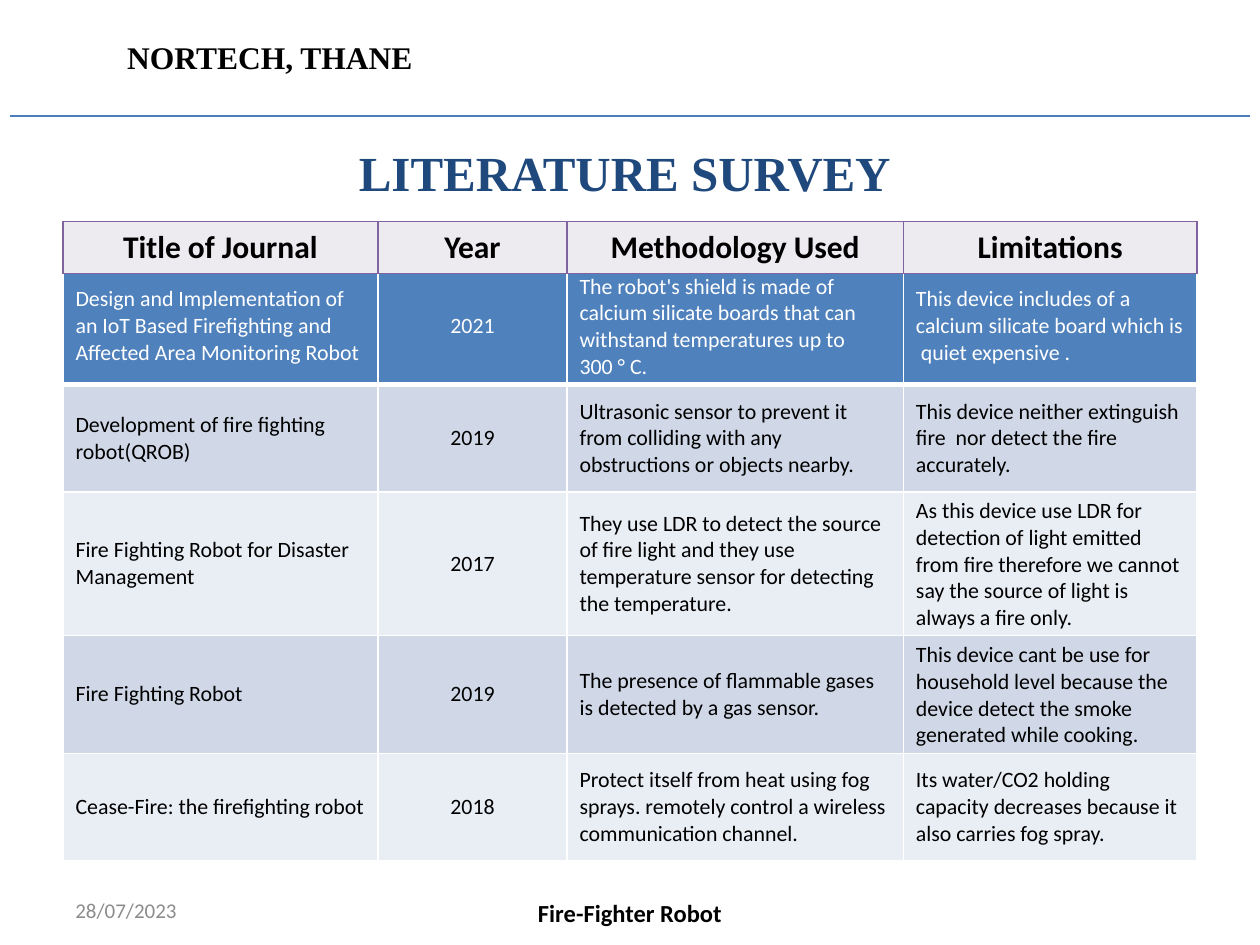
import pptx
import pptx.dml.color
import pptx.enum.shapes
import pptx.enum.text
import pptx.oxml
import pptx.oxml.ns
import pptx.util
from dataclasses import dataclass
from pptx.util import Inches


@dataclass(frozen=True)
class Theme:
    sans: str = "Calibri"
    serif: str = "Times New Roman"
    black: str = "000000"
    white: str = "FFFFFF"
    navy: str = "1F497D"
    grey: str = "8C8C8C"
    rule: str = "4B7EBC"
    header_fill: str = "EDEAF0"
    header_line: str = "8064A2"
    first_fill: str = "4F81BD"
    band_fills: tuple = ("D0D8E8", "E9EDF4")
    title: float = 28
    heading: float = 18
    footer: float = 14
    date: float = 12
    body: float = 12.5


theme = Theme()
RGB = pptx.dml.color.RGBColor.from_string
ALIGN = pptx.enum.text.PP_ALIGN
MIDDLE = pptx.enum.text.MSO_ANCHOR.MIDDLE


def write(frame, text, size, color, font=theme.sans, bold=False, align=ALIGN.LEFT):
    """Fill a text frame, one paragraph for each line of the text."""
    frame.word_wrap = True
    frame.text = text
    for paragraph in frame.paragraphs:
        paragraph.alignment = align
        run_font = paragraph.runs[0].font
        run_font.color.rgb = RGB(color)
        for key, value in {"name": font, "size": pptx.util.Pt(size), "bold": bold}.items():
            setattr(run_font, key, value)


def style_cell(cell, fill, line, top=1, bottom=1):
    """Set the four borders (widths in points), then the fill."""
    properties = cell._tc.get_or_add_tcPr()
    for side, width in {"L": 1, "R": 1, "T": top, "B": bottom}.items():
        properties.append(pptx.oxml.parse_xml(
            f'<a:ln{side} {pptx.oxml.ns.nsdecls("a")} w="{pptx.util.Pt(width)}">'
            f'<a:solidFill><a:srgbClr val="{line}"/></a:solidFill></a:ln{side}>'))
    cell.fill.solid()
    cell.fill.fore_color.rgb = RGB(fill)
    cell.vertical_anchor = MIDDLE


deck = pptx.Presentation()
deck.slide_width, deck.slide_height = Inches(10), Inches(7.5)
slide = deck.slides.add_slide(deck.slide_layouts[6])

# Heading, title and footer
captions = [
    ((0.17, 0.25, 5.33, 0.4), "NORTECH, THANE",
     dict(size=theme.heading, color=theme.black, font=theme.serif, bold=True),
     dict(margin_left=Inches(0.84))),
    ((2.21, 7.08, 5.58, 0.34), "Fire-Fighter Robot",
     dict(size=theme.footer, color=theme.black, bold=True, align=ALIGN.CENTER), {}),
    ((2.75, 1.08, 4.67, 0.57), "LITERATURE SURVEY",
     dict(size=theme.title, color=theme.navy, font=theme.serif, bold=True), {}),
    ((0.5, 7.02, 2.33, 0.4), "28/07/2023",
     dict(size=theme.date, color=theme.grey), dict(vertical_anchor=MIDDLE)),
]
for place, text, text_format, frame_format in captions:
    frame = slide.shapes.add_textbox(*map(Inches, place)).text_frame
    write(frame, text, **text_format)
    for key, value in frame_format.items():
        setattr(frame, key, value)

header_rule = slide.shapes.add_connector(
    pptx.enum.shapes.MSO_CONNECTOR.STRAIGHT,
    Inches(0.08), Inches(0.92), Inches(9.92), Inches(0.92))
header_rule.line.color.rgb = RGB(theme.rule)
header_rule.line.width = pptx.util.Pt(0.75)
header_rule._element.spPr.append(
    pptx.oxml.parse_xml(f'<a:effectLst {pptx.oxml.ns.nsdecls("a")}/>'))

# Survey: the papers first, then the column headings over them
column_widths = [2.5, 1.5, 2.67, 2.33]
headings = [("Title of Journal", "Year", "Methodology Used", "Limitations")]
papers = [
    ("Design and Implementation of an IoT Based Firefighting and Affected Area Monitoring Robot",
     "2021",
     "The robot's shield is made of calcium silicate boards that can withstand "
     "temperatures up to\n300 ° C.",
     "This device includes of a calcium silicate board which is  quiet expensive ."),
    ("Development of fire fighting robot(QROB)",
     "2019",
     "Ultrasonic sensor to prevent it from colliding with any\n"
     "obstructions or objects nearby.",
     "This device neither extinguish fire  nor detect the fire accurately."),
    ("Fire Fighting Robot for Disaster Management",
     "2017",
     "They use LDR to detect the source of fire light and they use temperature "
     "sensor for detecting the temperature.",
     "As this device use LDR for detection of light emitted from fire therefore "
     "we cannot say the source of light is always a fire only."),
    ("Fire Fighting Robot",
     "2019",
     "The presence of flammable gases is detected by a gas sensor.",
     "This device cant be use for household level because the device detect the "
     "smoke generated while cooking."),
    ("Cease-Fire: the firefighting robot",
     "2018",
     "Protect itself from heat using fog sprays. remotely control a wireless "
     "communication channel.",
     "Its water/CO2 holding capacity decreases because it also carries fog spray."),
]

for entries, top, row_height in [(papers, 2.12, 0.85), (headings, 1.76, 0.41)]:
    table = slide.shapes.add_table(
        len(entries), len(column_widths), Inches(0.5), Inches(top),
        Inches(sum(column_widths)), Inches(row_height * len(entries))).table
    table.first_row = table.horz_banding = False
    for column, width in zip(table.columns, column_widths):
        column.width = Inches(width)
    for r, entry in enumerate(entries):
        table.rows[r].height = Inches(row_height)
        for c, text in enumerate(entry):
            cell = table.cell(r, c)
            if entries is headings:
                style_cell(cell, theme.header_fill, theme.header_line)
                write(cell.text_frame, text, theme.heading, theme.black,
                      bold=True, align=ALIGN.CENTER)
            else:
                fill = theme.band_fills[(r - 1) % 2] if r else theme.first_fill
                style_cell(cell, fill, theme.white,
                           top=3 if r == 1 else 1, bottom=3 if r == 0 else 1)
                write(cell.text_frame, text, theme.body,
                      theme.black if r else theme.white,
                      align=ALIGN.CENTER if c == 1 else ALIGN.LEFT)

deck.save("out.pptx")
